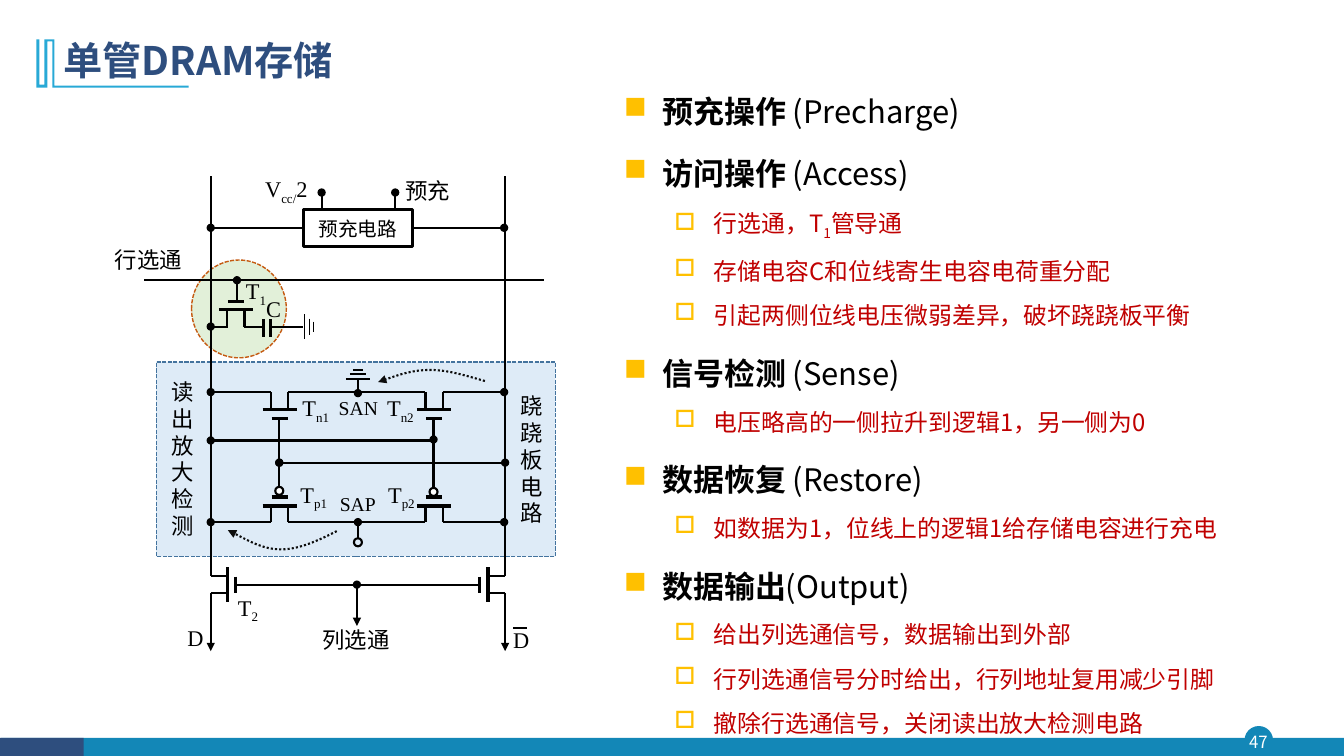
from typing import NamedTuple

from lxml import etree
from pptx import Presentation
from pptx.dml.color import RGBColor
from pptx.enum.dml import MSO_LINE
from pptx.enum.shapes import MSO_CONNECTOR, MSO_SHAPE
from pptx.enum.text import MSO_ANCHOR, MSO_AUTO_SIZE, PP_ALIGN
from pptx.oxml.ns import qn
from pptx.util import Inches, Pt

STRAIGHT = MSO_CONNECTOR.STRAIGHT
RECT, OVAL = MSO_SHAPE.RECTANGLE, MSO_SHAPE.OVAL
DASH, DOT = MSO_LINE.SQUARE_DOT, MSO_LINE.ROUND_DOT
LEFT, CENTER, JUSTIFY = PP_ALIGN.LEFT, PP_ALIGN.CENTER, PP_ALIGN.JUSTIFY
SANS, SERIF = "Noto Sans CJK SC", "Times New Roman"
HEX = {"black": "000000", "white": "FFFFFF", "navy": "2E4E7E", "teal": "1387B7",
       "sky": "28A9D6", "pale": "DEEBF7", "steel": "43739E", "green": "E2F0D9",
       "rust": "C55A11", "red": "C00000", "gold": "FFC000", "ink": "0D0D0D"}


class Wire(NamedTuple):
    x1: float
    y1: float
    x2: float
    y2: float
    head: str = ""
    tail: str = ""
    width: float = 1.5


class Label(NamedTuple):
    text: str
    x: float
    y: float
    w: float
    h: float = 0.28
    size: int = 16
    align: PP_ALIGN = JUSTIFY


class Gate(NamedTuple):
    """A transistor: centre along its plate, then plate, rail and gate levels."""
    mid: float
    plate: float
    rail: float
    gate: float
    upright: bool = False


class Topic(NamedTuple):
    name: str
    term: str
    notes: list[str]


def color(name: str) -> RGBColor:
    return RGBColor.from_string(HEX[name])


def style(run, size: float, tint: str, face: str = SANS, bold: bool = False) -> None:
    font = run.font
    font.size, font.bold, font.name = Pt(size), bold, face
    font.color.rgb = color(tint)
    etree.SubElement(run._r.get_or_add_rPr(), qn("a:ea")).set("typeface", SANS)


def write(para, text: str, size: float, tint: str, face: str = SANS) -> None:
    """Add runs; every second part between underscores is a subscript."""
    for i, part in enumerate(text.split("_")):
        run = para.add_run()
        run.text = part
        style(run, size, tint, face)
        if i % 2:
            run.font._element.set("baseline", "-25000")


def add_ends(line, head: str, tail: str) -> None:
    ln = line._get_or_add_ln()
    for tag, kind in (("a:headEnd", head), ("a:tailEnd", tail)):
        if kind:
            etree.SubElement(ln, qn(tag)).set("type", kind)


def add_wire(wire: Wire) -> None:
    link = shapes.add_connector(STRAIGHT, *map(Inches, wire[:4]))
    link.line.color.rgb = color("black")
    link.line.width = Pt(wire.width)
    add_ends(link.line, wire.head, wire.tail)
    etree.SubElement(link._element.spPr, qn("a:effectLst"))


def paint(shape, fill: str = "", line: str = "", width: float = 1, dash=None) -> None:
    shape.shadow.inherit = False
    if fill:
        shape.fill.solid()
        shape.fill.fore_color.rgb = color(fill)
    else:
        shape.fill.background()
    if line:
        shape.line.color.rgb = color(line)
        shape.line.width = Pt(width)
        if dash:
            shape.line.dash_style = dash
    else:
        shape.line.fill.background()


def add_box(kind, x: float, y: float, w: float, h: float, *look):
    shape = shapes.add_shape(kind, *map(Inches, (x, y, w, h)))
    paint(shape, *look)
    return shape


def add_label(label: Label, tint: str = "black", face: str = SERIF) -> None:
    frame = shapes.add_textbox(*map(Inches, label[1:5])).text_frame
    frame.word_wrap = True
    frame.margin_left = frame.margin_right = Inches(0.01)
    frame.margin_top = frame.margin_bottom = Inches(0.01)
    para = frame.paragraphs[0]
    para.alignment = label.align
    write(para, label.text, label.size, tint, face)


def add_gate(gate: Gate) -> None:
    mid, plate, rail, level, upright = gate
    strokes = [(mid - 0.17, plate, mid + 0.17, plate, 2.25),
               (mid - 0.08, level, mid + 0.08, level, 2.25)]
    strokes += [(mid + d, rail, mid + d, plate, 1.5) for d in (-0.085, 0.085)]
    for a, b, c, d, width in strokes:
        ends = (b, a, d, c) if upright else (a, b, c, d)
        add_wire(Wire(*ends, width=width))


def add_curve(points: list[tuple[float, float]]) -> None:
    """Draw a dotted arrow through Bezier points, three to a segment."""
    spots = [(Inches(x), Inches(y)) for x, y in points]
    pen = shapes.build_freeform(*spots[0])
    pen.add_line_segments(spots[1:], close=False)
    curve = pen.convert_to_shape()
    paint(curve, "", "ink", 1.5, DOT)
    add_ends(curve.line, "", "triangle")
    steps = list(curve._element.iter(qn("a:lnTo")))
    for i in range(0, len(steps), 3):
        bend = etree.Element(qn("a:cubicBezTo"))
        steps[i].addprevious(bend)
        for step in steps[i:i + 3]:
            bend.append(step[0])
            step.getparent().remove(step)


def set_bullet(para, mark: str, left: float, hang: float, gap: float) -> None:
    """Space the paragraph and give it a Wingdings square (n full, o hollow)."""
    para.alignment = JUSTIFY
    para.line_spacing = 1.3
    para.space_before = Pt(gap)
    props = para._p.get_or_add_pPr()
    props.set("marL", str(Inches(left)))
    props.set("indent", str(-Inches(hang)))
    tone = etree.SubElement(props, qn("a:buClr"))
    etree.SubElement(tone, qn("a:srgbClr")).set("val", HEX["gold"])
    face = etree.SubElement(props, qn("a:buFont"))
    face.set("typeface", "Wingdings")
    face.set("charset", "2")
    etree.SubElement(props, qn("a:buChar")).set("char", mark)


TOPICS = [
    Topic("预充操作 ", "(Precharge)", []),
    Topic("访问操作 ", "(Access)", ["行选通，T_1_管导通", "存储电容C和位线寄生电容电荷重分配",
                                "引起两侧位线电压微弱差异，破坏跷跷板平衡"]),
    Topic("信号检测", " (Sense)", ["电压略高的一侧拉升到逻辑1，另一侧为0"]),
    Topic("数据恢复 ", "(Restore)", ["如数据为1，位线上的逻辑1给存储电容进行充电"]),
    Topic("数据输出", "(Output)", ["给出列选通信号，数据输出到外部",
                               "行列选通信号分时给出，行列地址复用减少引脚",
                               "撤除行选通信号，关闭读出放大检测电路"]),
]
GATES = [Gate(x, *rows) for x in (2.775, 4.305)
         for rows in ((4.06, 3.89, 4.15), (5.02, 5.18, 4.93))]
GATES += [Gate(2.34, 3.07, 3.24, 2.99), Gate(5.8, 2.26, 2.09, 2.34, True),
          Gate(5.8, 4.84, 5.01, 4.76, True)]
WIRES = [Wire(x, 1.75, x, 5.71) for x in (2.09, 5.01)]
WIRES += [Wire(x, 5.88, x, 6.46, "", "triangle") for x in (2.09, 5.01)]
for row in (3.89, 5.18):
    WIRES += [Wire(2.69, row, 2.09, row, "", "oval"), Wire(2.86, row, 4.22, row),
              Wire(4.39, row, 5, row, "", "oval")]
WIRES += [
    Wire(2.77, 4.59, 2.77, 4.15, "oval"), Wire(2.77, 4.59, 2.77, 4.92),
    Wire(4.3, 4.36, 4.3, 4.15, "oval"), Wire(4.3, 4.36, 4.3, 4.93),
    Wire(2.09, 4.37, 4.32, 4.37, "oval"), Wire(2.77, 4.59, 5.01, 4.59, "oval", "oval"),
    Wire(3.55, 5.18, 3.55, 5.34, "oval"), Wire(3.55, 3.9, 3.55, 3.77, "oval"),
    Wire(1.43, 2.78, 5.4, 2.78), Wire(2.35, 2.78, 2.35, 2.99, "oval"),
    Wire(2.26, 3.24, 2.09, 3.24, "", "oval"), Wire(2.42, 3.24, 2.61, 3.24),
    Wire(2.7, 3.24, 3.01, 3.24), Wire(2.34, 5.8, 4.76, 5.8),
    Wire(3.54, 5.8, 3.54, 6.21, "oval", "triangle"), Wire(5.09, 6.23, 5.23, 6.23),
    Wire(2.09, 2.26, 5, 2.26, "oval", "oval"),
]
WIRES += [Wire(x, 1.91, x, 2.18, "oval") for x in (3.19, 3.92)]
WIRES += [Wire(x, 3.34, x, 3.16, width=2.25) for x in (2.61, 2.68)]
for step, half in ((0, 0.12), (0.05, 0.08), (0.09, 0.05)):
    WIRES += [Wire(3.55 - half, 3.76 - step, 3.55 + half, 3.76 - step, width=1),
              Wire(3.02 + step, 3.24 - half, 3.02 + step, 3.24 + half, width=1)]
LABELS = [
    Label("SAP", 3.36, 4.87, 0.45, size=14), Label("SAN", 3.35, 3.92, 0.5, size=14),
    Label("T_n1", 2.99, 3.9, 0.43), Label("T_n2", 3.83, 3.9, 0.43),
    Label("T_p1", 2.97, 4.76, 0.43), Label("T_p2", 3.84, 4.76, 0.43),
    Label("T_1", 2.43, 2.74, 0.27), Label("T_2", 2.35, 5.88, 0.27),
    Label("C", 2.63, 2.92, 0.27), Label("D", 1.85, 6.18, 0.33), Label("D", 5.08, 6.2, 0.33),
    Label("列选通", 3.19, 6.2, 0.75), Label("行选通", 1.13, 2.43, 0.79),
    Label("V_cc/_2", 2.62, 1.73, 0.83), Label("预充", 4.01, 1.75, 0.53),
    Label("跷跷板电路", 5.07, 3.88, 0.4, 1.4, align=CENTER),
    Label("读出放大检测", 1.61, 3.74, 0.4, 1.65, align=CENTER),
]

deck = Presentation()
deck.slide_width, deck.slide_height = Inches(13.33), Inches(7.5)
slide = deck.slides.add_slide(deck.slide_layouts[5])
shapes = slide.shapes

add_box(OVAL, 12.35, 7.21, 0.27, 0.27, "teal", "teal")
add_box(RECT, 0.01, 7.32, 13.32, 0.18, "teal")
add_box(RECT, 0, 7.32, 0.83, 0.18, "navy")
add_label(Label("47", 12.32, 7.25, 0.32, size=12, align=CENTER), "white", SANS)
mark = [(0.54, 0.39), (0.54, 0.85), (1.87, 0.85), (1.87, 0.87), (0.52, 0.87), (0.52, 0.41),
        (0.47, 0.41), (0.47, 0.87), (0.36, 0.87), (0.36, 0.39), (0.39, 0.39), (0.39, 0.84),
        (0.44, 0.84), (0.44, 0.39)]
spots = [(Inches(x), Inches(y)) for x, y in mark]
pen = shapes.build_freeform(*spots[0])
pen.add_line_segments(spots[1:])
paint(pen.convert_to_shape(), "sky")

title = shapes.title
title.left, title.top, title.width, title.height = map(Inches, (0.53, 0.28, 11.5, 0.68))
title.text_frame.text = "单管DRAM存储"
title.text_frame.auto_size = MSO_AUTO_SIZE.NONE
title.text_frame.vertical_anchor = MSO_ANCHOR.MIDDLE
head = title.text_frame.paragraphs[0]
head.alignment, head.line_spacing = LEFT, 0.9
style(head.runs[0], 28, "navy", bold=True)

add_box(RECT, 1.55, 3.59, 3.96, 1.93, "pale", "steel", 1, DASH)
add_box(OVAL, 1.9, 2.58, 0.94, 0.97, "green", "rust", 1, DASH)
for gate in GATES:
    add_gate(gate)
for wire in WIRES:
    add_wire(wire)
for x, y, fill in ((2.73, 4.83, "white"), (4.26, 4.84, "white"), (3.51, 5.34, "")):
    add_box(OVAL, x, y, 0.08, 0.08, fill, "black", 1.5)
add_curve([(4.81, 3.78), (4.63, 3.73), (4.45, 3.67), (4.27, 3.67),
           (4.09, 3.67), (3.92, 3.73), (3.75, 3.79)])
add_curve([(3.34, 5.27), (3.16, 5.36), (2.97, 5.45), (2.79, 5.45),
           (2.61, 5.45), (2.44, 5.35), (2.26, 5.26)])
charge = add_box(RECT, 3.01, 2.08, 1.08, 0.37, "white", "black", 2.25).text_frame
charge.word_wrap = False
charge.vertical_anchor = MSO_ANCHOR.MIDDLE
charge.paragraphs[0].alignment = CENTER
write(charge.paragraphs[0], "预充电路", 14, "black", SERIF)
for label in LABELS:
    add_label(label)

body = shapes.add_textbox(*map(Inches, (6.09, 0.76, 6.88, 6.74))).text_frame
body.word_wrap = True
for i, topic in enumerate(TOPICS):
    para = body.add_paragraph() if i else body.paragraphs[0]
    set_bullet(para, "n", 0.38, 0.38, 10 if i else 0)
    write(para, topic.name + "_" + topic.term, 22.1, "black")
    para.runs[0].font.bold = True
    para.runs[1].font._element.set("baseline", "0")
    for note in topic.notes:
        para = body.add_paragraph()
        set_bullet(para, "o", 0.89, 0.39, 5)
        write(para, note, 17, "red")
deck.save("out.pptx")
